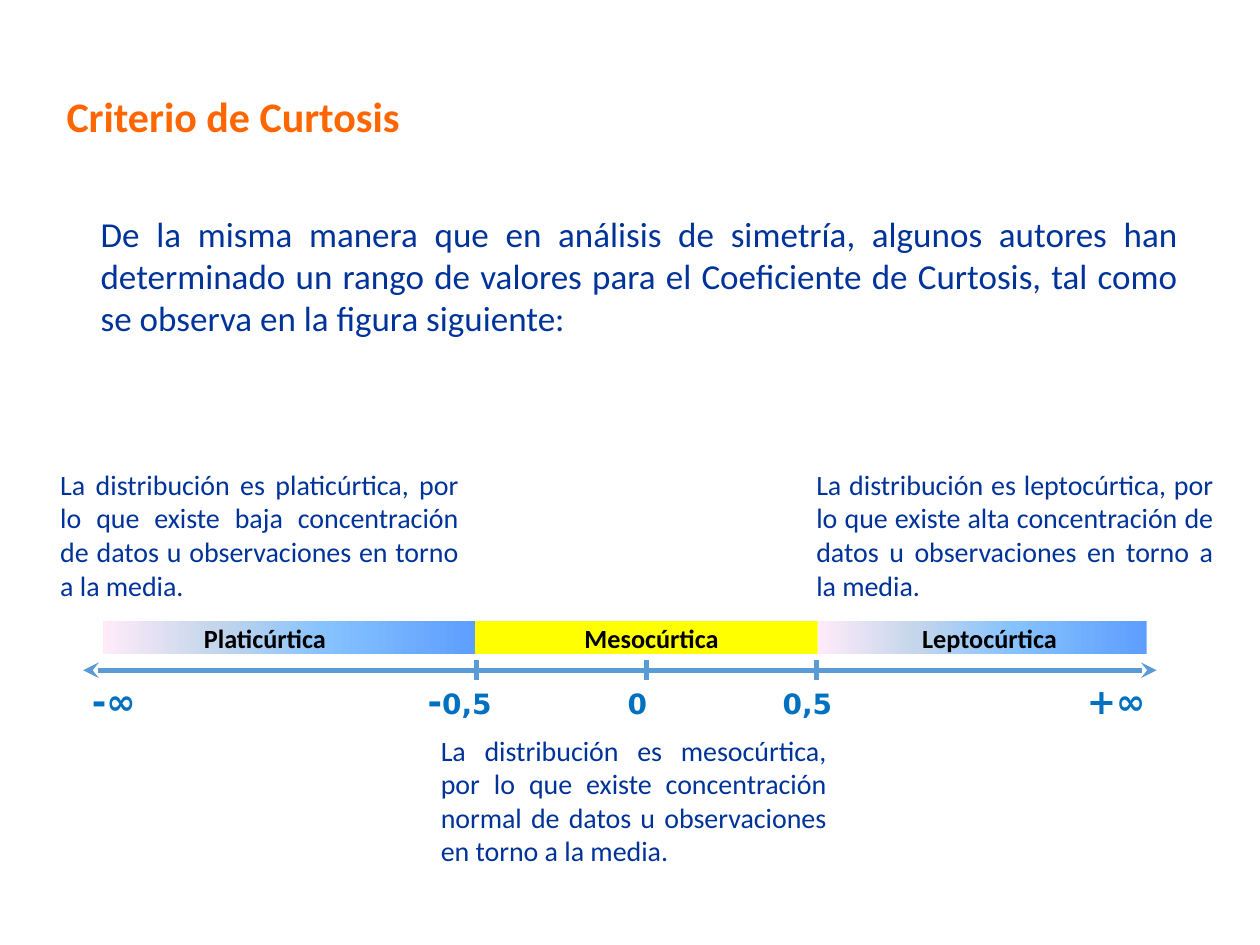
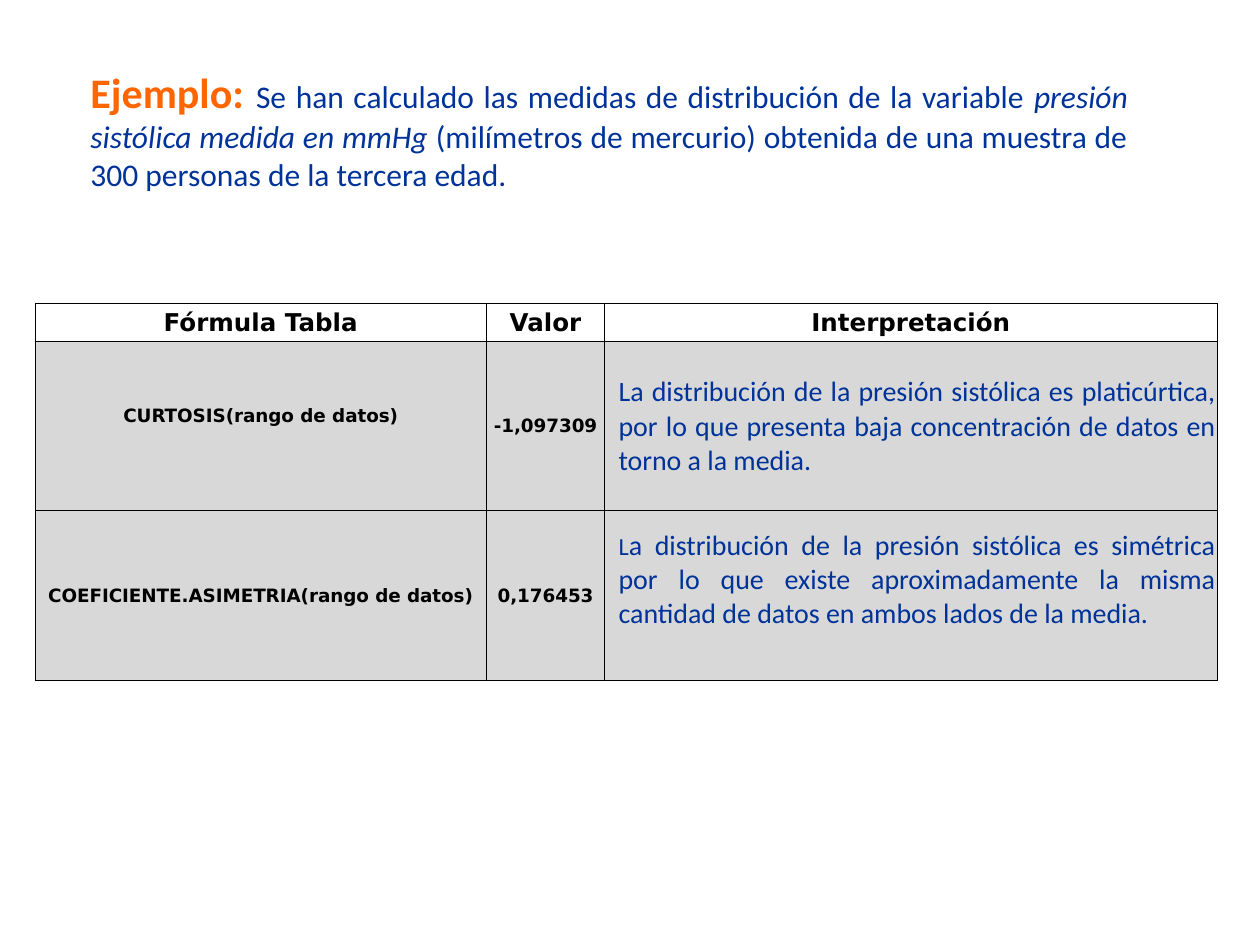
import pptx
import pptx.dml.color
import pptx.enum.shapes
import pptx.enum.text
import pptx.oxml
import pptx.oxml.ns
import pptx.util

RGBColor = pptx.dml.color.RGBColor
ALIGN = pptx.enum.text.PP_ALIGN
ANCHOR = pptx.enum.text.MSO_ANCHOR

ORANGE = RGBColor(0xFF, 0x66, 0x00)
NAVY = RGBColor(0x00, 0x33, 0x99)
BLUE = RGBColor(0x00, 0x70, 0xC0)
AXIS_BLUE = RGBColor(0x5B, 0x9B, 0xD5)
YELLOW = RGBColor(0xFF, 0xFF, 0x00)
GREY = RGBColor(0xD8, 0xD8, 0xD8)
BLACK = RGBColor(0, 0, 0)
WHITE = RGBColor(0xFF, 0xFF, 0xFF)
FADE_STOPS = [
    (0, RGBColor(0x5E, 0x9E, 0xFF)),
    (40, RGBColor(0x85, 0xC2, 0xFF)),
    (70, RGBColor(0xC4, 0xD6, 0xEB)),
    (100, RGBColor(0xFF, 0xEB, 0xFA)),
]
EMU_PER_PX = 9144  # 100 px to the inch


def text_format(size, color, bold=False, name="Calibri", italic=False):
    return {"size": pptx.util.Pt(size), "color": color, "bold": bold,
            "name": name, "italic": italic}


TITLE = text_format(24, ORANGE, True)
INTRO = text_format(20, NAVY)
EXAMPLE = text_format(18, NAVY)
EXAMPLE_ITALIC = text_format(18, NAVY, italic=True)
NOTE = text_format(16, NAVY)
NOTE_INITIAL = text_format(14, NAVY)
BAND_LABEL = text_format(15, BLACK, True)
AXIS_SIGN = text_format(20, BLUE, True, "DejaVu Sans")
AXIS_NUMBER = text_format(16, BLUE, True, "DejaVu Sans")
TABLE_HEAD = text_format(14, BLACK, True, "DejaVu Sans")
TABLE_VALUE = text_format(10.5, BLACK, True, "DejaVu Sans")


def px(length):
    return pptx.util.Emu(length * EMU_PER_PX)


def add_xml(parent, tag, **attributes):
    child = pptx.oxml.parse_xml(f"<a:{tag} {pptx.oxml.ns.nsdecls('a')}/>")
    for name, value in attributes.items():
        child.set(name, str(value))
    parent.append(child)
    return child


class Deck:
    """Holds the presentation, its style and the slide being filled."""

    def __init__(self):
        self.presentation = pptx.Presentation()
        self.presentation.slide_width = px(1000)
        self.presentation.slide_height = px(750)
        self.slide = None

    def new_slide(self):
        self.slide = self.presentation.slides.add_slide(
            self.presentation.slide_layouts[6])

    def fill_paragraph(self, paragraph, runs, align):
        """Fill a paragraph with (text, format) runs."""
        paragraph.alignment = align
        for text, values in runs:
            run = paragraph.add_run()
            run.text = text
            for name, value in values.items():
                if name == "color":
                    run.font.color.rgb = value
                else:
                    setattr(run.font, name, value)

    def text(self, box, runs, align=ALIGN.JUSTIFY, anchor=ANCHOR.TOP):
        shape = self.slide.shapes.add_textbox(*map(px, box))
        shape.text_frame.word_wrap = True
        shape.text_frame.vertical_anchor = anchor
        paragraph = shape.text_frame.paragraphs[0]
        self.fill_paragraph(paragraph, runs, align)
        return paragraph

    def tabbed_text(self, box, runs, stops):
        """One line whose tabs centre the text at the given stops."""
        paragraph = self.text(box, runs, ALIGN.LEFT)
        tab_list = add_xml(paragraph._p.get_or_add_pPr(), "tabLst")
        for stop in stops:
            add_xml(tab_list, "tab", pos=int(px(stop)), algn="ctr")

    def band(self, box, color=None):
        """Borderless rectangle, faded when no colour is given."""
        shape = self.slide.shapes.add_shape(
            pptx.enum.shapes.MSO_SHAPE.RECTANGLE, *map(px, box))
        shape.shadow.inherit = False
        shape.line.fill.background()
        if color is not None:
            shape.fill.solid()
            shape.fill.fore_color.rgb = color
            return
        shape.fill.gradient()
        shape.fill.gradient_angle = 180
        stop_list = shape._element.spPr.find(
            ".//" + pptx.oxml.ns.qn("a:gsLst"))
        for stop in list(stop_list):
            stop_list.remove(stop)
        for percent, stop_color in FADE_STOPS:
            stop = add_xml(stop_list, "gs", pos=percent * 1000)
            add_xml(stop, "srgbClr", val=stop_color)

    def line(self, start, end, arrows=False):
        connector = self.slide.shapes.add_connector(
            pptx.enum.shapes.MSO_CONNECTOR.STRAIGHT,
            *map(px, start + end))
        connector.line.color.rgb = AXIS_BLUE
        connector.line.width = pptx.util.Pt(3)
        if arrows:
            for tag in ("headEnd", "tailEnd"):
                add_xml(connector.line._get_or_add_ln(), tag, type="stealth")
        add_xml(connector._element.spPr, "effectLst")

    def cell(self, cell, runs, fill, align, left=1, bottom=0):
        margins = {"margin_left": left, "margin_top": 1,
                   "margin_right": 1, "margin_bottom": bottom}
        for name, value in margins.items():
            setattr(cell, name, px(value))
        cell.vertical_anchor = ANCHOR.MIDDLE
        for side in ("lnL", "lnR", "lnT", "lnB"):
            border = add_xml(cell._tc.get_or_add_tcPr(), side,
                             w=int(pptx.util.Pt(0.5)))
            add_xml(add_xml(border, "solidFill"), "srgbClr", val=BLACK)
        cell.fill.solid()
        cell.fill.fore_color.rgb = fill
        self.fill_paragraph(cell.text_frame.paragraphs[0], runs, align)

    def table(self, box, widths, heights, rows):
        """Rows hold (runs, bottom margin); the last body column is prose."""
        table = self.slide.shapes.add_table(
            len(heights), len(widths), *map(px, box)).table
        for column, width in zip(table.columns, widths):
            column.width = px(width)
        for row, height in zip(table.rows, heights):
            row.height = px(height)
        for r, row in enumerate(rows):
            for c, (runs, bottom) in enumerate(row):
                prose = r > 0 and c == len(widths) - 1
                self.cell(table.cell(r, c), runs, GREY if r else WHITE,
                          ALIGN.JUSTIFY if prose else ALIGN.CENTER,
                          11 if prose else 1, bottom)


def build_criterion(deck):
    deck.new_slide()
    title = deck.text((43, 47, 913, 94), [("Criterio de Curtosis", TITLE)],
                      ALIGN.LEFT, ANCHOR.MIDDLE)
    title.line_spacing = 0.9
    deck.text((70, 164, 875, 111), [(
        "De la misma manera que en análisis de simetría, algunos autores han "
        "determinado un rango de valores para el Coeficiente de Curtosis, "
        "tal como se observa en la figura siguiente:", INTRO)])

    deck.tabbed_text((63, 534, 875, 44), [
        ("-∞\t-", AXIS_SIGN), ("0,5\t0\t0,5\t", AXIS_NUMBER),
        ("+∞", AXIS_SIGN)], (292, 433, 568, 813))
    deck.line((66, 532), (918, 532), arrows=True)
    for x in (378, 513, 648):
        deck.line((x, 524), (x, 540))

    bands = [
        ("Platicúrtica", 82, 296, None, 152),
        ("Mesocúrtica", 377, 272, YELLOW, 454),
        ("Leptocúrtica", 649, 261, None, 722),
    ]
    for name, left, width, color, label_left in bands:
        deck.band((left, 493, width, 26), color)
        deck.text((label_left, 489, 139, 35), [(name, BAND_LABEL)],
                  ALIGN.LEFT)

    notes = [
        ((38, 366, 336, 122), "platicúrtica", "baja concentración"),
        ((638, 366, 335, 125), "leptocúrtica", "alta concentración"),
        ((340, 577, 326, 125), "mesocúrtica", "concentración normal"),
    ]
    for box, kind, concentration in notes:
        deck.text(box, [(
            f"La distribución es {kind}, por lo que existe {concentration} "
            "de datos u observaciones en torno a la media.", NOTE)])


def build_example(deck):
    deck.new_slide()
    deck.text((62, 48, 843, 141), [
        ("Ejemplo: ", TITLE),
        ("Se han calculado las medidas de distribución de la variable ",
         EXAMPLE),
        ("presión sistólica medida en mmHg", EXAMPLE_ITALIC),
        (" (milímetros de mercurio) obtenida de una muestra de 300 personas "
         "de la tercera edad.", EXAMPLE)])

    heads = ("Fórmula Tabla", "Valor", "Interpretación")
    deck.table((28, 241, 938, 299), (358, 94, 486), (30, 134, 135), [
        [([(head, TABLE_HEAD)], 0) for head in heads],
        [([("CURTOSIS(rango de datos)", TABLE_VALUE)], 17),
         ([("-1,097309", TABLE_VALUE)], 0),
         ([("La distribución de la presión sistólica es platicúrtica, por lo "
            "que presenta baja concentración de datos en torno a la media.",
            NOTE)], 0)],
        [([("COEFICIENTE.ASIMETRIA(rango de datos)", TABLE_VALUE)], 0),
         ([("0,176453", TABLE_VALUE)], 0),
         ([("L", NOTE_INITIAL),
           ("a distribución de la presión sistólica es simétrica por lo que "
            "existe aproximadamente la misma cantidad de datos en ambos "
            "lados de la media.", NOTE)], 25)],
    ])


def main():
    deck = Deck()
    build_criterion(deck)
    build_example(deck)
    deck.presentation.save("out.pptx")


if __name__ == "__main__":
    main()
